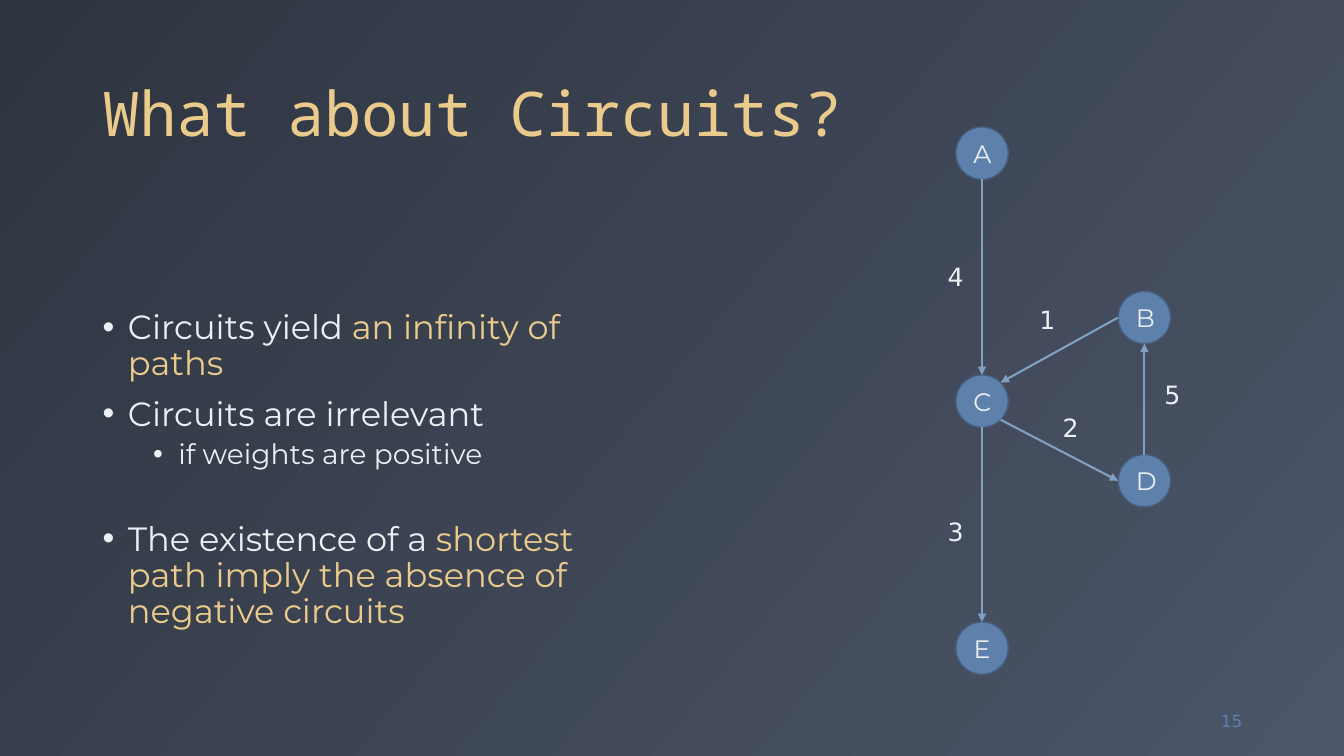
"""Build the slide on circuits in weighted graphs."""
import pptx
import pptx.dml.color
import pptx.enum.shapes
import pptx.enum.text
import pptx.oxml.ns
import pptx.util
import lxml.etree

Inches, Pt = pptx.util.Inches, pptx.util.Pt
ALIGN = pptx.enum.text.PP_ALIGN
ANCHOR = pptx.enum.text.MSO_ANCHOR

THEME = {
    "dark": "2E3440", "light": "4C5669", "gold": "EBCB8B", "text": "ECEFF3",
    "node": "5E81AC", "rim": "465F7F", "edge": "81A1C1",
    "head": "Noto Sans Mono", "body": "Montserrat", "plain": "DejaVu Sans",
    "title": 44, "main": 24, "sub": 20, "label": 18, "small": 12,
}

TITLE = "What about Circuits?"
NUMBER = "15"
POINTS = [
    (0, 0, [("Circuits yield ", "text"), ("an infinity of paths", "gold")]),
    (0, 10, [("Circuits are irrelevant", "text")]),
    (1, 5, [("if weights are positive", "text")]),
    (0, 37, [("The existence of a ", "text"),
             ("shortest path imply the absence of negative circuits", "gold")]),
]
LEVELS = [("main", 0.25), ("sub", 0.75)]
NODES = {"A": (9.74, 1.52), "C": (9.74, 3.98), "E": (9.74, 6.43),
         "D": (11.35, 4.77), "B": (11.35, 3.15)}
RADIUS = 0.26
SIDES = {"top": (0, -1), "bottom": (0, 1), "left": (-1, 0),
         "upper": (0.71, -0.71), "lower": (0.71, 0.71)}
EDGES = [
    ("A", "bottom", "C", "top", "4", (9.3, 2.54)),
    ("C", "bottom", "E", "top", "3", (9.3, 5.07)),
    ("C", "lower", "D", "left", "2", (10.44, 4.04)),
    ("D", "top", "B", "bottom", "5", (11.45, 3.71)),
    ("B", "left", "C", "upper", "1", (10.21, 2.97)),
]


def color(name):
    return pptx.dml.color.RGBColor.from_string(THEME[name])


def add_tag(parent, tag, **attrs):
    return lxml.etree.SubElement(parent, pptx.oxml.ns.qn(tag), **attrs)


def add_run(para, text, font, size, tint):
    run = para.add_run()
    run.text = text
    run.font.name = THEME[font]
    run.font.size = Pt(THEME[size])
    run.font.color.rgb = color(tint)


def add_box(slide, left, top, width, height, anchor, wrap=True):
    box = slide.shapes.add_textbox(*map(Inches, (left, top, width, height)))
    frame = box.text_frame
    frame.word_wrap = wrap
    frame.vertical_anchor = anchor
    return frame


def add_points(slide):
    frame = add_box(slide, 0.92, 2, 5.58, 4.76, ANCHOR.TOP)
    frame.margin_top = Inches(1.08)
    for index, (level, space, runs) in enumerate(POINTS):
        para = frame.add_paragraph() if index else frame.paragraphs[0]
        size, indent = LEVELS[level]
        para.level = level
        props = para._p.get_or_add_pPr()
        props.set("marL", str(Inches(indent)))
        props.set("indent", str(Inches(-0.25)))
        add_tag(props, "a:buFont", typeface="Arial")
        add_tag(props, "a:buChar", char="•")
        para.line_spacing = 0.9
        para.space_before = Pt(space)
        for text, tint in runs:
            add_run(para, text, "body", size, tint)


def add_node(slide, name, x, y):
    node = slide.shapes.add_shape(
        pptx.enum.shapes.MSO_SHAPE.OVAL, Inches(x - RADIUS),
        Inches(y - RADIUS), Inches(2 * RADIUS), Inches(2 * RADIUS))
    node.shadow.inherit = False
    node.fill.solid()
    node.fill.fore_color.rgb = color("node")
    node.line.color.rgb = color("rim")
    node.line.width = Pt(1)
    frame = node.text_frame
    frame.vertical_anchor = ANCHOR.MIDDLE
    para = frame.paragraphs[0]
    para.alignment = ALIGN.CENTER
    add_run(para, name, "body", "label", "text")


def find_end(name, side):
    return [Inches(mid + RADIUS * step)
            for mid, step in zip(NODES[name], SIDES[side])]


def add_edge(slide, start, out, end, into):
    edge = slide.shapes.add_connector(
        pptx.enum.shapes.MSO_CONNECTOR.STRAIGHT,
        *find_end(start, out), *find_end(end, into))
    edge.line.color.rgb = color("edge")
    edge.line.width = Pt(1.5)
    add_tag(edge.line._get_or_add_ln(), "a:tailEnd", type="triangle")
    add_tag(edge._element.spPr, "a:effectLst")


def add_weight(slide, text, left, top):
    frame = add_box(slide, left, top, 0.36, 0.4, ANCHOR.TOP, False)
    frame.auto_size = pptx.enum.text.MSO_AUTO_SIZE.SHAPE_TO_FIT_TEXT
    add_run(frame.paragraphs[0], text, "plain", "label", "text")


def main():
    deck = pptx.Presentation()
    deck.slide_width, deck.slide_height = Inches(13.33), Inches(7.5)
    slide = deck.slides.add_slide(deck.slide_layouts[6])

    fill = slide.background.fill
    fill.gradient()
    fill.gradient_angle = 320
    for stop, tint in zip(fill.gradient_stops, ("dark", "light")):
        stop.color.rgb = color(tint)

    para = add_box(slide, 0.92, 0.18, 11.5, 1.36, ANCHOR.BOTTOM).paragraphs[0]
    para.line_spacing = 0.9
    add_run(para, TITLE, "head", "title", "gold")
    add_points(slide)
    para = add_box(slide, 11.59, 6.95, 0.83, 0.4, ANCHOR.MIDDLE).paragraphs[0]
    para.alignment = ALIGN.RIGHT
    add_run(para, NUMBER, "plain", "small", "node")

    for name, (x, y) in NODES.items():
        add_node(slide, name, x, y)
    for *ends, weight, spot in EDGES:
        add_edge(slide, *ends)
        add_weight(slide, weight, *spot)
    deck.save("out.pptx")


if __name__ == "__main__":
    main()
